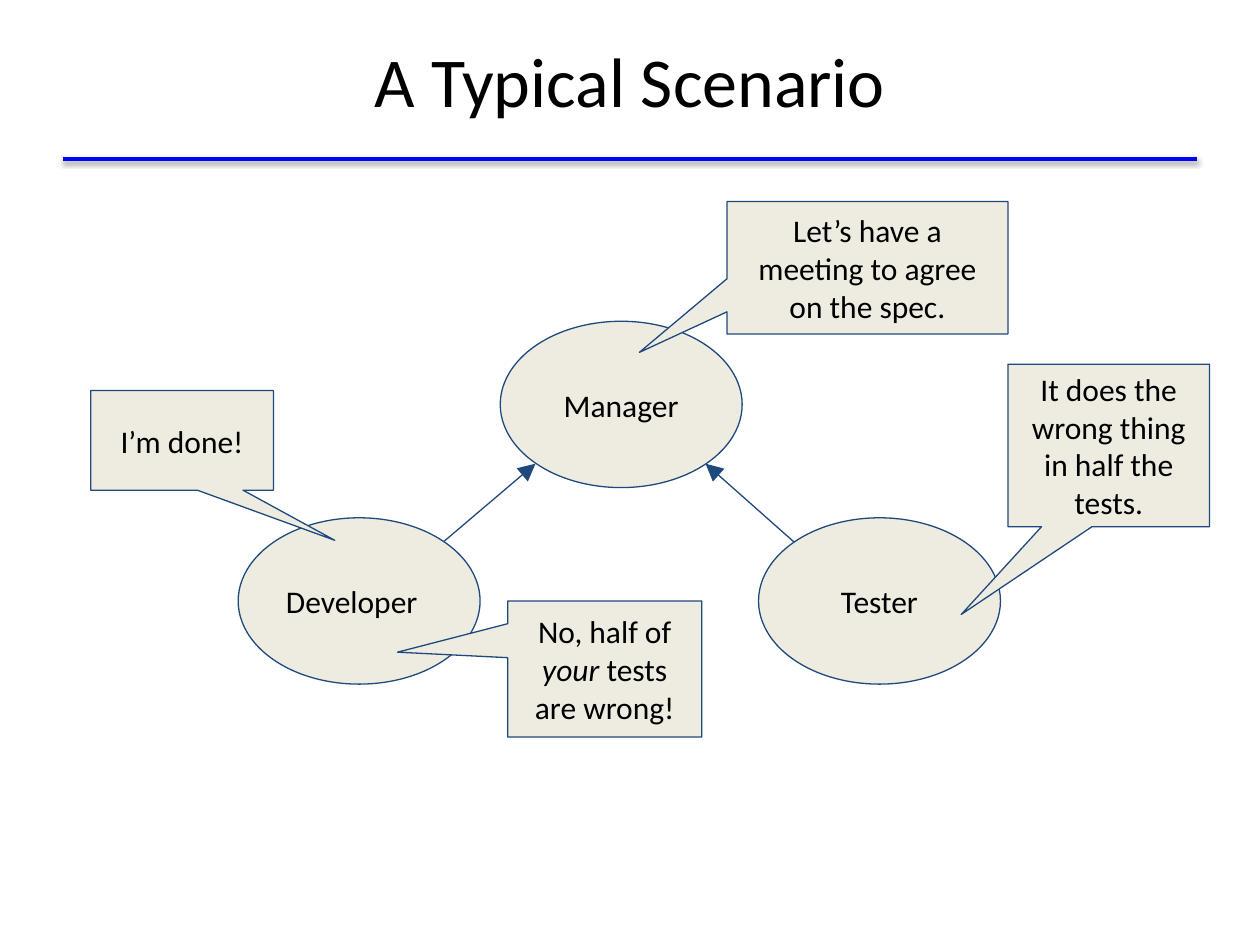
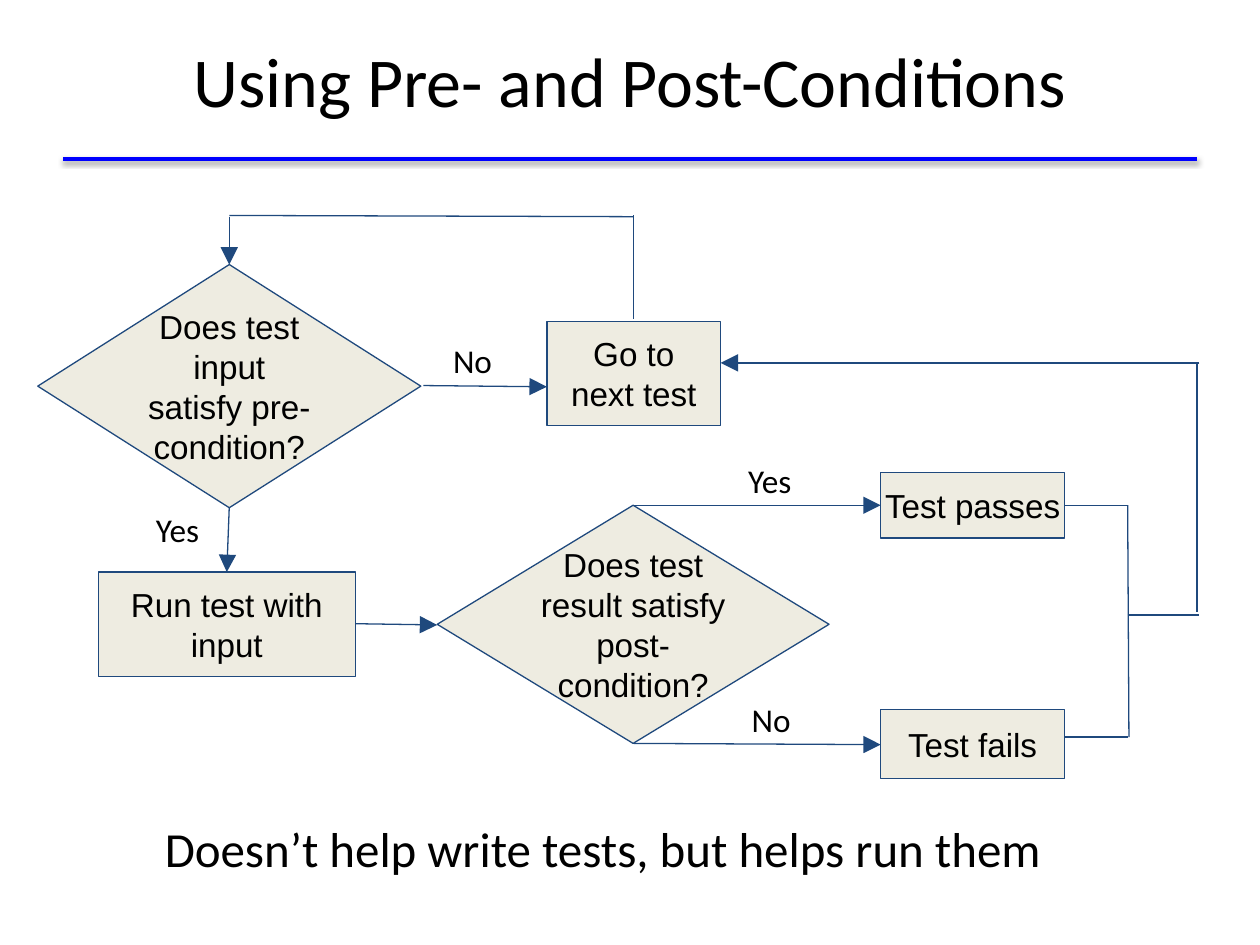
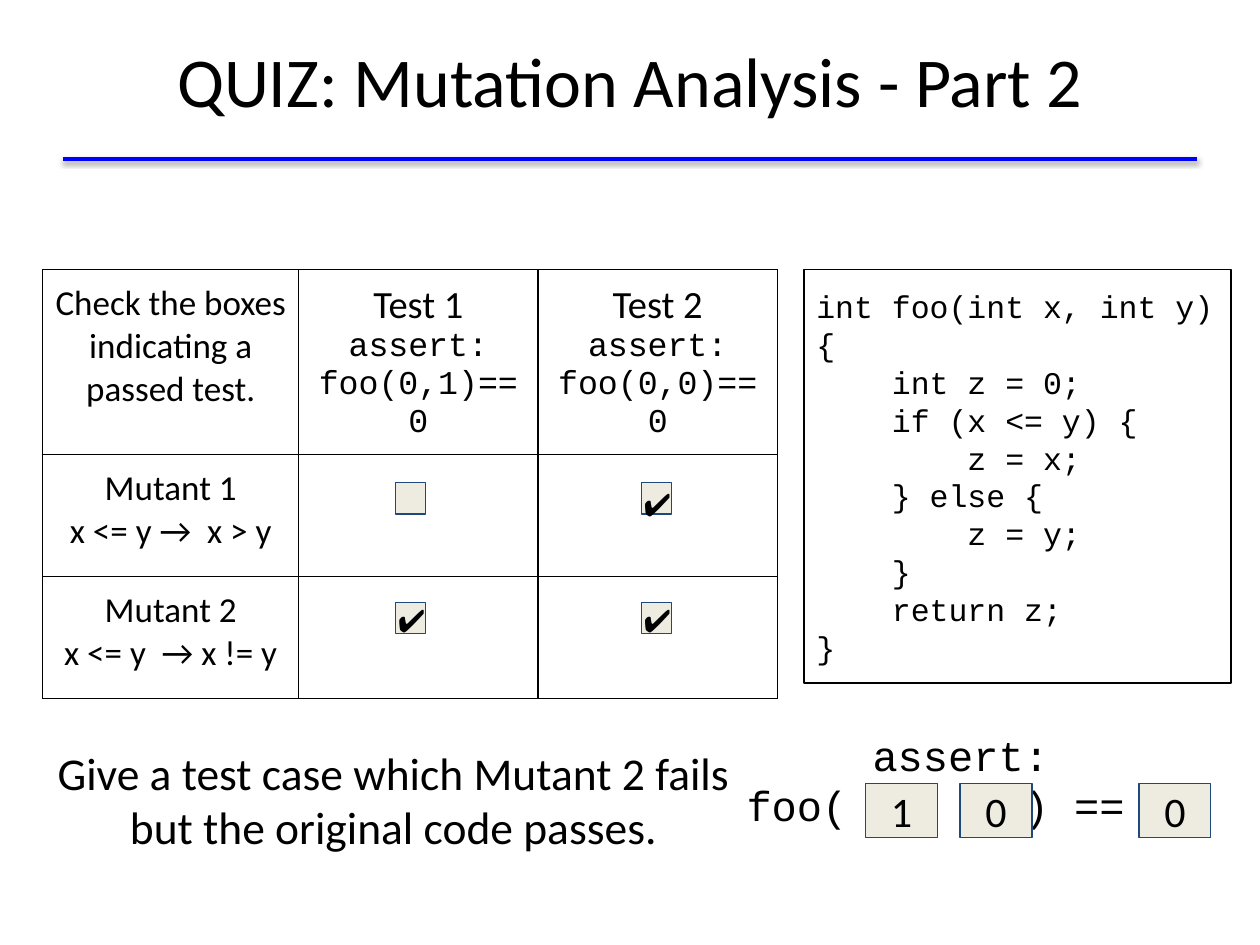
from lxml import etree
from pptx import Presentation
from pptx.dml.color import RGBColor
from pptx.enum.shapes import MSO_CONNECTOR, MSO_SHAPE
from pptx.enum.text import MSO_ANCHOR, PP_ALIGN
from pptx.oxml import parse_xml
from pptx.oxml.ns import qn
from pptx.util import Inches, Pt

A_NS = 'xmlns:a="http://schemas.openxmlformats.org/drawingml/2006/main"'
BEIGE, NAVY, BLUE, BLACK = "EEECE1", "1F497D", "0000FF", "000000"
SANS, ARIAL, MONO = "Calibri", "Arial", "Courier New"
LEFT, CENTER = PP_ALIGN.LEFT, PP_ALIGN.CENTER
TOP, MIDDLE = MSO_ANCHOR.TOP, MSO_ANCHOR.MIDDLE
RECT, ELLIPSE = MSO_SHAPE.RECTANGLE, MSO_SHAPE.OVAL
DIAMOND = MSO_SHAPE.FLOWCHART_DECISION
CALLOUT = MSO_SHAPE.ROUNDED_RECTANGULAR_CALLOUT
STRAIGHT = MSO_CONNECTOR.STRAIGHT
rgb = RGBColor.from_string


def write(p, text, size, font=SANS):
    """Append text to a paragraph; \\n breaks the line, *stars* mark italics."""
    for n, line in enumerate(text.split("\n")):
        if n:
            p.add_line_break()
        for i, part in enumerate(line.split("*")):
            if part:
                r = p.add_run()
                r.text = part
                r.font.size = Pt(size)
                r.font.name = font
                r.font.color.rgb = rgb(BLACK)
                if i % 2:
                    r.font.italic = True


def add_box(s, at, text="", kind=None, size=18, font=SANS, align=CENTER,
            anchor=MIDDLE, fill=BEIGE, line=NAVY, margins=(0.1, 0.1)):
    """Add a preset shape, or a text box when no kind is given."""
    at = [Inches(v) for v in at]
    if kind is None:
        sp = s.shapes.add_textbox(*at)
    else:
        sp = s.shapes.add_shape(kind, *at)
        sp.shadow.inherit = False
        if fill:
            sp.fill.solid()
            sp.fill.fore_color.rgb = rgb(fill)
        else:
            sp.fill.background()
        sp.line.color.rgb = rgb(line)
        sp.line.width = Pt(0.75)
    tf = sp.text_frame
    tf.word_wrap = True
    tf.vertical_anchor = anchor
    tf.margin_left = tf.margin_right = Inches(margins[0])
    tf.margin_top = tf.margin_bottom = Inches(margins[1])
    p = tf.paragraphs[0]
    p.alignment = align
    write(p, text, size, font)
    return sp


prs = Presentation()
prs.slide_width, prs.slide_height = Inches(10), Inches(7.5)

# Shared layout: title position and blue rule
layout = prs.slide_layouts[5]
title = layout.placeholders[0]
title.left, title.top = Inches(0.5), Inches(0.01)
title.width, title.height = Inches(9), Inches(1.25)

titles = ["A Typical Scenario", "Using Pre- and Post-Conditions",
          "QUIZ: Mutation Analysis - Part 2"]
slides = []
for text in titles:
    s = prs.slides.add_slide(layout)
    write(s.shapes.title.text_frame.paragraphs[0], text, 40)
    slides.append(s)
scenario, flow, quiz = slides

rule = scenario.shapes.add_connector(
    STRAIGHT, Inches(0.5), Inches(1.26), Inches(9.5), Inches(1.26))
rule.line.color.rgb = rgb(BLUE)
rule.line.width = Pt(2)
rule.element.spPr.append(parse_xml(
    f'<a:effectLst {A_NS}><a:outerShdw blurRad="39400" dist="20300" dir="5400000">'
    f'<a:srgbClr val="{BLACK}"><a:alpha val="38000"/></a:srgbClr>'
    '</a:outerShdw></a:effectLst>'))
layout.shapes.element.append(rule.element)

# Lines of both diagrams: slide, x1, y1, x2, y2, arrowhead at the end
lines = [
    (scenario, 3.52, 4.3, 4.25, 3.68, True),
    (scenario, 6.3, 4.3, 5.6, 3.68, True),
    # main path
    (flow, 1.82, 4.02, 1.8, 4.54, True),
    (flow, 2.82, 4.95, 3.47, 4.96, True),
    (flow, 3.36, 3.06, 4.34, 3.07, True),
    (flow, 5.03, 4.01, 6.99, 4.01, True),
    (flow, 5.03, 5.9, 6.99, 5.91, True),
    # results back to the next test
    (flow, 8.37, 4.01, 8.95, 4.01, False),
    (flow, 8.37, 5.85, 8.95, 5.85, False),
    (flow, 8.95, 4.01, 8.96, 5.85, False),
    (flow, 8.95, 4.88, 9.52, 4.88, False),
    (flow, 9.5, 2.89, 9.5, 4.86, False),
    (flow, 9.52, 2.88, 5.72, 2.88, True),
    # next test back to the start
    (flow, 5.03, 1.71, 5.03, 2.53, False),
    (flow, 1.82, 1.71, 5.03, 1.72, False),
    (flow, 1.82, 1.72, 1.82, 2.1, True),
]
for s, *ends, arrow in lines:
    cn = s.shapes.add_connector(STRAIGHT, *[Inches(v) for v in ends])
    cn.line.color.rgb = rgb(NAVY)
    cn.line.width = Pt(0.75)
    if arrow:
        etree.SubElement(cn.line._get_or_add_ln(), qn("a:tailEnd"), type="triangle",
                         w="lg", len="lg")
    etree.SubElement(cn.element.spPr, qn("a:effectLst"))

# Slide 1: roles and what they say
for x, y, role, align in [(1.89, 4.11, "Developer", LEFT),
                          (6.02, 4.11, "Tester", CENTER),
                          (3.97, 2.55, "Manager", CENTER)]:
    add_box(scenario, (x, y, 1.92, 1.32), role, ELLIPSE, align=align)

callouts = [
    ((0.72, 3.1, 1.45, 0.79), (0.836, 1.004), "I’m done!"),
    ((8, 2.89, 1.6, 1.29), (-0.732, 1.04),
     "It does the wrong thing in half the tests."),
    ((5.77, 1.6, 2.23, 1.05), (-0.812, 0.64),
     "Let’s have a meeting to agree on the spec."),
    ((4.03, 4.77, 1.54, 1.08), (-1.068, -0.124),
     "No, half of *your* tests are wrong!"),
]
for at, tip, text in callouts:
    sp = add_box(scenario, at, text, CALLOUT)
    for i, value in enumerate((*tip, 0)):
        sp.adjustments[i] = value

# Slide 2: steps, branch labels and conclusion
steps = [
    (DIAMOND, (0.3, 2.1, 3.04, 1.93), (0.1, 0.1),
     "Does test input satisfy pre-condition?"),
    (RECT, (0.78, 4.54, 2.04, 0.83), (0.1, 0.1), "Run test with input"),
    (DIAMOND, (3.47, 4.01, 3.11, 1.89), (0, 0),
     "Does test result satisfy post-condition?"),
    (RECT, (6.99, 3.75, 1.46, 0.52), (0, 0.1), "Test passes"),
    (RECT, (6.99, 5.63, 1.46, 0.55), (0, 0.1), "Test fails"),
    (RECT, (4.34, 2.55, 1.38, 0.83), (0.1, 0.1), "Go to next test"),
]
for kind, at, margins, text in steps:
    add_box(flow, at, text, kind, 19, ARIAL, margins=margins)

for x, y, answer in [(1.13, 3.94, "Yes"), (3.47, 2.6, "No"),
                     (5.83, 3.55, "Yes"), (5.84, 5.45, "No")]:
    add_box(flow, (x, y, 0.56, 0.39), answer, size=19, anchor=TOP)

sp = add_box(flow, (1.21, 6.45, 7.24, 0.57),
             "Doesn’t help write tests, but helps run them",
             size=28, align=LEFT, anchor=TOP, margins=(0.1, 0.05))
sp.text_frame.word_wrap = False

# Slide 3: table of mutants and tests
rows = [
    [[("Check the boxes indicating a passed test.", 20, SANS)],
     [("Test 1\n", 22, SANS), ("assert:\nfoo(0,1)==0", 19, MONO)],
     [("Test 2\n", 22, SANS), ("assert:\nfoo(0,0)==0", 19, MONO)]],
    [[("Mutant 1\nx <= y →  x > y", 20, SANS)], [], []],
    [[("Mutant 2\nx <= y  → x != y", 20, SANS)], [], []],
]
table = quiz.shapes.add_table(3, 3, Inches(0.34), Inches(2.14),
                              Inches(5.83), Inches(3.28)).table
table.first_row = table.horz_banding = False
for col, width in zip(table.columns, (2.03, 1.9, 1.9)):
    col.width = Inches(width)
for row, height, texts in zip(table.rows, (1.34, 0.97, 0.97), rows):
    row.height = Inches(height)
    for cell, runs in zip(row.cells, texts):
        cell.margin_left = cell.margin_right = Inches(0.1)
        cell.margin_top = cell.margin_bottom = Inches(0.1)
        p = cell.text_frame.paragraphs[0]
        p.alignment = CENTER
        for text, size, font in runs:
            write(p, text, size, font)
        tcPr = cell._tc.get_or_add_tcPr()
        for side in ("lnL", "lnR", "lnT", "lnB"):
            tcPr.append(parse_xml(
                f'<a:{side} {A_NS} w="9525"><a:solidFill><a:srgbClr val="{BLACK}"/>'
                f'</a:solidFill></a:{side}>'))
        cell.fill.background()

# Check boxes and ticks
for y, tick_y, passed in [(3.83, 3.75, (False, True)), (4.78, 4.67, (True, True))]:
    for x, tick in zip((3.14, 5.09), passed):
        add_box(quiz, (x, y, 0.24, 0.25), kind=RECT)
        if tick:
            add_box(quiz, (x - 0.08, tick_y, 0.43, 0.43), "✔", align=LEFT, anchor=TOP)

# Code listing
code = """int foo(int x, int y) {
    int z = 0;
    if (x <= y) {
        z = x;
    } else {
        z = y;
    }
    return z;
}"""
add_box(quiz, (6.38, 2.14, 3.39, 3.28), code, RECT, font=MONO, align=LEFT,
        fill=None, line=BLACK)

# Question and answer
add_box(quiz, (0.29, 5.97, 5.67, 0.75),
        "Give a test case which Mutant 2 fails but the original code passes.", size=26)
add_box(quiz, (5.28, 5.69, 4.49, 1.07), " assert:\nfoo(   ,   ) == ",
        size=24, font=MONO, anchor=TOP)
for x, value in [(6.87, "1"), (7.62, "0"), (9.04, "0")]:
    add_box(quiz, (x, 6.22, 0.57, 0.43), value, RECT, 24)

prs.save("out.pptx")
